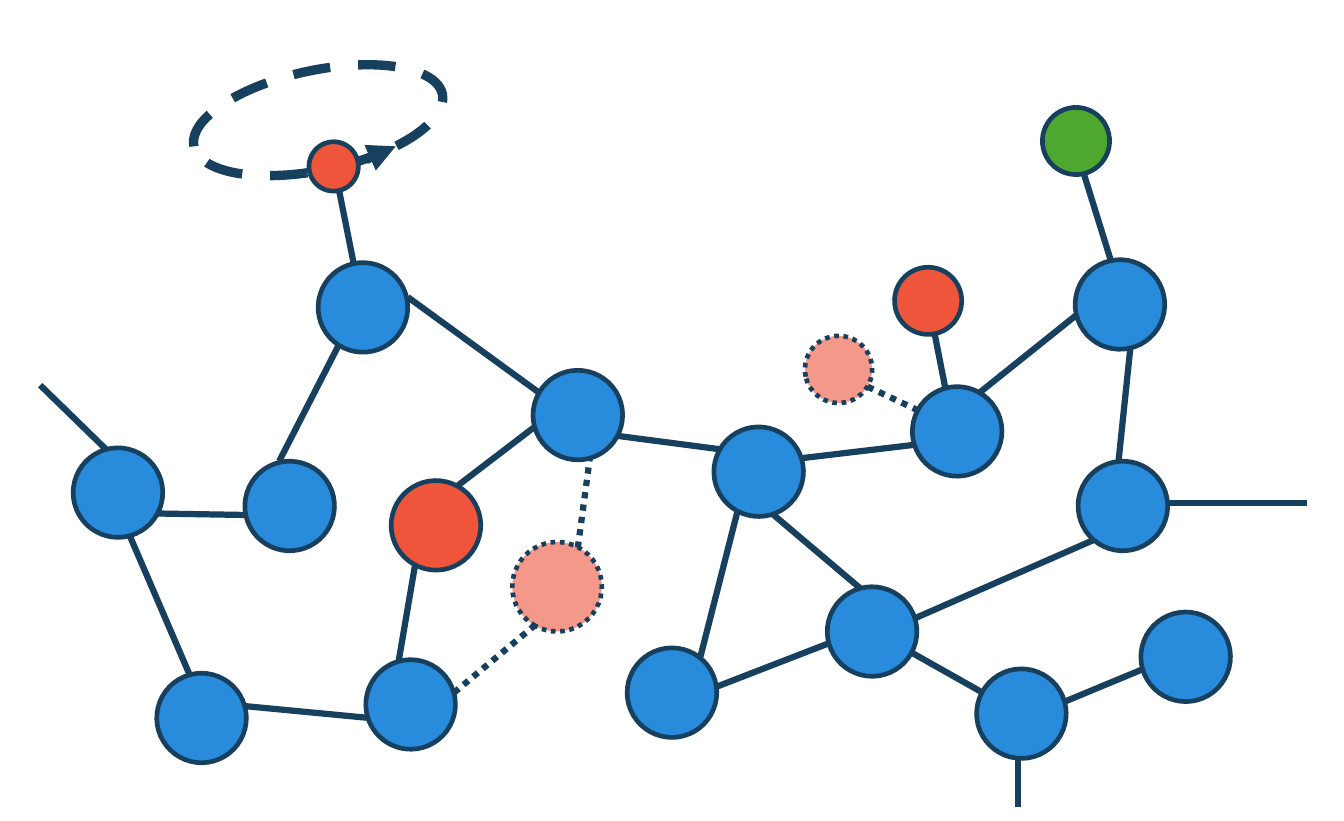
"""Draw a molecule with bonds, moving atoms and a spin orbit."""
from pptx import Presentation
from pptx.dml.color import RGBColor
from pptx.enum.dml import MSO_LINE as Dash
from pptx.enum.shapes import MSO_CONNECTOR as Link, MSO_SHAPE as Form
from pptx.oxml.ns import qn
from pptx.util import Pt
from lxml.etree import SubElement as Sub

NAVY = RGBColor(0x17, 0x3F, 0x5E)
BLUE = RGBColor(0x28, 0x8B, 0xDB)
RED = RGBColor(0xEE, 0x55, 0x3B)
GREEN = RGBColor(0x4E, 0xA7, 0x2E)

LARGE, SMALL, TINY = 43.2, 32.4, 23.8
STEEP, TILT = 299, 347.5

BONDS = [
    (118.1, 340.6, 177.8, 346.3), (192.2, 319, 200.2, 272.2),
    (221, 234, 257.8, 205.9), (163.4, 91.4, 170.6, 127.4),
    (196.6, 143.3, 259.9, 189.4), (513.4, 338.4, 551.5, 322.6),
    (439.2, 314.6, 473.8, 334.1), (414.7, 283.7, 372.2, 247.7),
    (386.6, 221, 440.6, 214.6), (347, 216.7, 297.4, 210.2),
    (455.8, 187.2, 450.7, 161.3), (399.6, 310.3, 345.6, 331.2),
    (491, 365.8, 491, 389.5), (535.7, 126, 522.7, 84.2),
    (519.1, 151.9, 472.3, 189.4), (91.4, 325.4, 62.6, 258.5),
    (51.1, 216.7, 19.4, 185.8), (118.8, 248.4, 76.3, 247.7),
    (134.6, 222.5, 163.4, 166.3), (441.4, 298.1, 527, 260.6),
    (539.3, 222.5, 545, 167.8), (563, 242.6, 630, 242.6),
    (337.7, 316.8, 355.7, 246.2),
]
GHOST_BONDS = [
    (218.9, 334.1, 257.8, 301.7), (278.6, 264.2, 284.4, 221),
    (442.8, 198, 418.3, 186.5),
]
ATOMS = [
    (BLUE, LARGE, STEEP, [
        (278.6, 200.2), (198, 339.8), (97.2, 346.3), (365.8, 227.5),
        (461.5, 208.1), (571.7, 316.8), (420.5, 304.6), (492.5, 344.2),
        (56.9, 237.6)]),
    (BLUE, LARGE, TILT, [(175, 148.3), (540, 146.9), (139.7, 244.1)]),
    (BLUE, LARGE, 40.3, [(541.4, 244.1)]),
    (BLUE, LARGE, 351.8, [(324, 334.1)]),
    (RED, LARGE, STEEP, [(210.2, 253.4)]),
    (RED, SMALL, TILT, [(447.5, 145.1)]),
    (RED, TINY, TILT, [(160.9, 80.3)]),
    (GREEN, SMALL, TILT, [(518.8, 68)]),
]
GHOSTS = [(268.6, 283, LARGE, STEEP), (404.3, 178.2, SMALL, TILT)]


class Sketch:
    """Hold the line style and the current slide."""

    def __init__(self, slide, ink=NAVY, edge=2.25, bond=3, bold=4.5):
        self.shapes = slide.shapes
        self.ink, self.edge, self.width, self.bold = ink, edge, bond, bold

    def stroke(self, line, width, dash=None):
        line.color.rgb = self.ink
        line.width = Pt(width)
        if dash:
            line.dash_style = dash

    def oval(self, x, y, wide, high, turn, width, dash=None):
        shape = self.shapes.add_shape(
            Form.OVAL, Pt(x - wide / 2), Pt(y - high / 2), Pt(wide), Pt(high))
        shape.rotation = turn
        shape.shadow.inherit = False
        self.stroke(shape.line, width, dash)
        return shape

    def atom(self, x, y, size, turn, color):
        shape = self.oval(x, y, size, size, turn, self.edge)
        shape.fill.solid()
        shape.fill.fore_color.rgb = color

    def ghost(self, x, y, size, turn):
        shape = self.oval(x, y, size, size, turn, self.edge, Dash.ROUND_DOT)
        shape.fill.solid()
        shape.fill.fore_color.rgb = RED
        tint = shape.element.spPr.find(qn("a:solidFill"))[0]
        Sub(tint, qn("a:alpha"), val="60000")

    def orbit(self, x, y, wide, high, turn):
        shape = self.oval(x, y, wide, high, turn, self.bold, Dash.DASH)
        shape.fill.background()

    def bond(self, ends, dash=None, width=None):
        link = self.shapes.add_connector(Link.STRAIGHT, *map(Pt, ends))
        self.stroke(link.line, width or self.width, dash)
        Sub(link.element.spPr, qn("a:effectLst"))
        return link

    def arrow(self, ends):
        link = self.bond(ends, width=self.bold)
        Sub(link.element.spPr.find(qn("a:ln")), qn("a:tailEnd"), type="triangle")


def main():
    deck = Presentation()
    deck.slide_width, deck.slide_height = Pt(648), Pt(396)
    art = Sketch(deck.slides.add_slide(deck.slide_layouts[6]))
    for ends in BONDS:
        art.bond(ends)
    for ends in GHOST_BONDS:
        art.bond(ends, Dash.ROUND_DOT)
    art.orbit(153.4, 58, 122.4, 48.2, 348.1)
    art.arrow((176.4, 77, 190.8, 70.6))
    for place in GHOSTS:
        art.ghost(*place)
    for color, size, turn, spots in ATOMS:
        for x, y in spots:
            art.atom(x, y, size, turn, color)
    deck.save("out.pptx")


if __name__ == "__main__":
    main()
